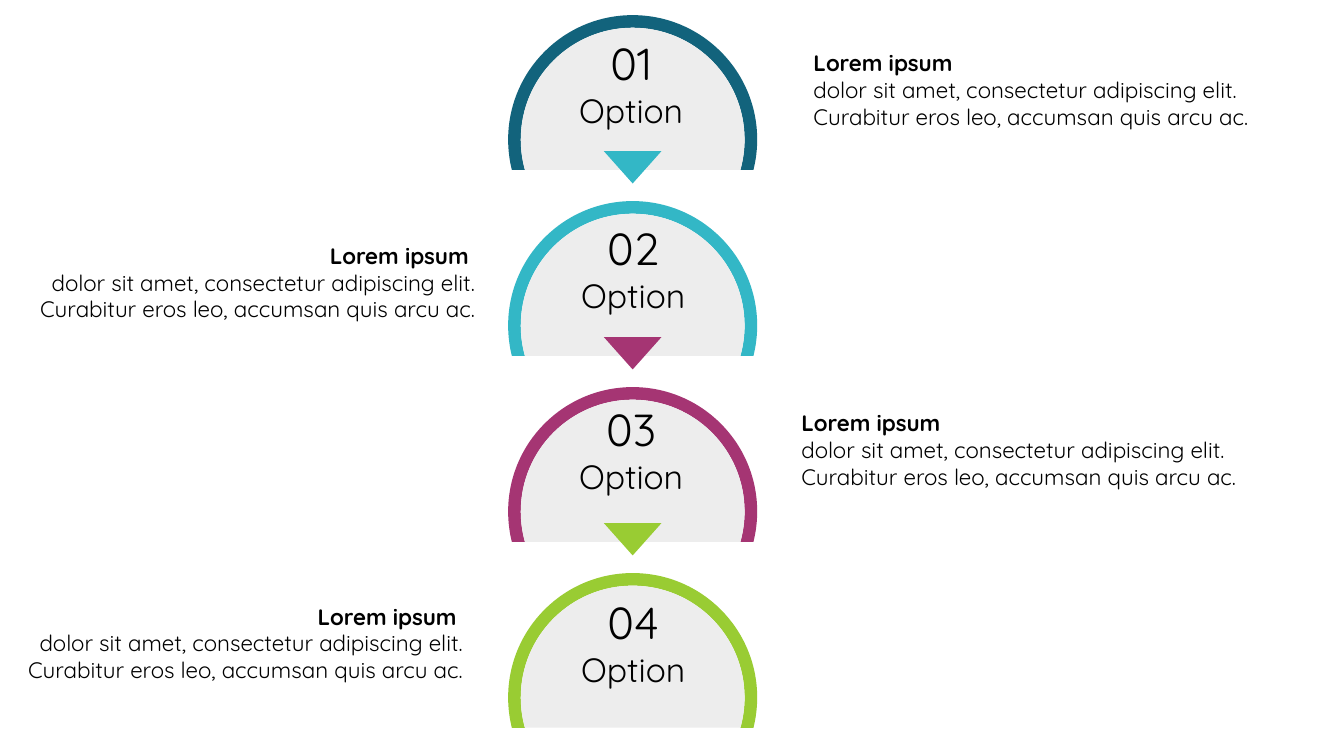
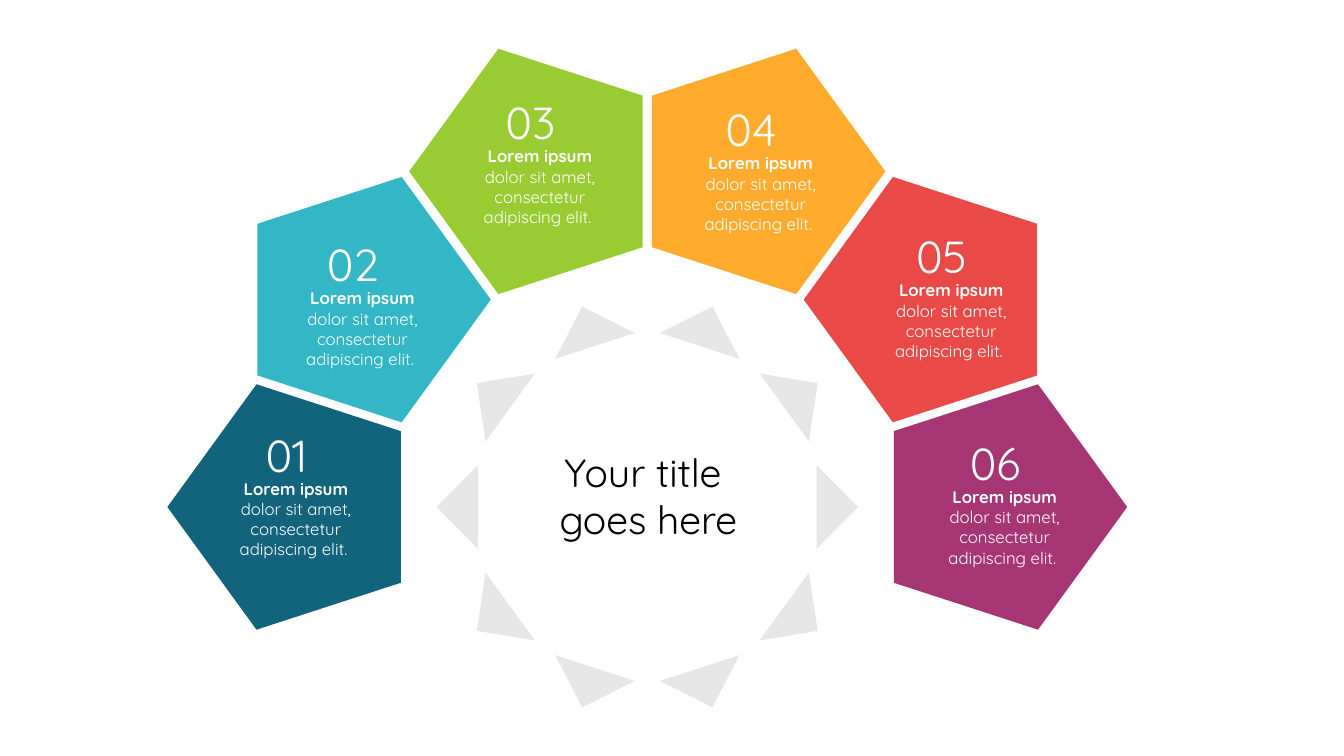
"""Build two infographic slides: a chain of four options and a fan of six pentagons."""
from math import asin, cos, pi, radians, sin, tan

from pptx import Presentation
from pptx.dml.color import RGBColor
from pptx.enum.text import MSO_ANCHOR, MSO_AUTO_SIZE, PP_ALIGN
from pptx.oxml.ns import qn
from pptx.util import Inches, Pt

TEAL = RGBColor(0x12, 0x63, 0x7C)
TURQUOISE = RGBColor(0x33, 0xB7, 0xC6)
GREEN = RGBColor(0x99, 0xCC, 0x33)
ORANGE = RGBColor(0xFF, 0xAB, 0x2E)
RED = RGBColor(0xEA, 0x4A, 0x47)
PLUM = RGBColor(0xA5, 0x35, 0x73)
DOME_GREY = RGBColor(0xED, 0xED, 0xED)
RAY_GREY = RGBColor(0xE7, 0xE6, 0xE6)
BLACK = RGBColor(0, 0, 0)
WHITE = RGBColor(0xFF, 0xFF, 0xFF)
FONT = "Quicksand"
HEADING = "Lorem ipsum "


def draw_outline(slide, points, color, curve_starts=()):
    corners = [(Inches(x), Inches(y)) for x, y in points]
    builder = slide.shapes.build_freeform(*corners[0], scale=1.0)
    builder.add_line_segments(corners[1:], close=True)
    outline = builder.convert_to_shape()
    outline.shadow.inherit = False
    outline.fill.solid()
    outline.fill.fore_color.rgb = color
    outline.line.fill.background()
    segments = list(outline.element.iter(qn("a:lnTo")))
    for start in curve_starts:
        curve = segments[start].makeelement(qn("a:cubicBezTo"))
        segments[start].addprevious(curve)
        for segment in segments[start:start + 3]:
            curve.append(segment[0])
            segment.getparent().remove(segment)


def write(box, paragraphs, align, color):
    frame = box.text_frame
    frame.word_wrap = True
    frame.auto_size = MSO_AUTO_SIZE.SHAPE_TO_FIT_TEXT
    frame.vertical_anchor = MSO_ANCHOR.TOP
    for index, pieces in enumerate(paragraphs):
        paragraph = frame.add_paragraph() if index else frame.paragraphs[0]
        paragraph.alignment = align
        for text, size, bold in pieces:
            run = paragraph.add_run()
            run.text = text
            run.font.name = FONT
            run.font.size = Pt(size)
            run.font.bold = bold
            run.font.color.rgb = color


deck = Presentation()
deck.slide_width = Inches(13.33)
deck.slide_height = Inches(7.5)
title_only, blank = deck.slide_layouts[5], deck.slide_layouts[6]

options_slide = deck.slides.add_slide(blank)
AXIS_X, FIRST_TOP, STEP = 6.275, 0.15, 1.845
OUTER, INNER, CUT = 1.235, 1.11, 0.3
options = [
    (TEAL, (5.52, 0.31, 1.48, 1.04), (7.97, 0.44)),
    (TURQUOISE, (5.54, 2.14, 1.48, 1.58), (0.27, 2.35)),
    (PLUM, (5.52, 3.94, 1.48, 1.58), (7.85, 4.01)),
    (GREEN, (5.54, 5.85, 1.48, 1.58), (0.15, 5.93)),
]
detail = "dolor sit amet, consectetur adipiscing elit. Curabitur eros leo, accumsan quis arcu ac."

for index, (color, _, _) in enumerate(options):
    center_y = FIRST_TOP + index * STEP + OUTER
    arcs = []
    for radius in (OUTER, INNER):
        dip = asin(CUT / radius)
        stops = [-dip, 0, pi / 2, pi, pi + dip]
        unit_points = [(cos(dip), -sin(dip))]
        for a, b in zip(stops, stops[1:]):
            pull = 4 / 3 * tan((b - a) / 4)
            unit_points += [(cos(a) - pull * sin(a), sin(a) + pull * cos(a)),
                            (cos(b) + pull * sin(b), sin(b) - pull * cos(b)),
                            (cos(b), sin(b))]
        arcs.append([(AXIS_X + radius * x, center_y - radius * y) for x, y in unit_points])
    outer_arc, inner_arc = arcs
    draw_outline(options_slide, outer_arc + inner_arc[::-1], color,
                 [*range(0, 12, 3), *range(13, 25, 3)])
    draw_outline(options_slide, inner_arc, DOME_GREY, range(0, 12, 3))

for index, (color, _, _) in enumerate(options[1:]):
    arrow_top = 1.5 + index * STEP
    arrow = [(5.99, arrow_top), (AXIS_X, arrow_top + 0.32), (6.56, arrow_top)]
    draw_outline(options_slide, arrow, color)

for index, (_, label_at, detail_at) in enumerate(options):
    label = options_slide.shapes.add_textbox(*map(Inches, label_at))
    write(label, [[(f"{index + 1:02}", 32, False)], [("Option", 24, False)]],
          PP_ALIGN.CENTER, BLACK)
    side = PP_ALIGN.RIGHT if index % 2 else PP_ALIGN.LEFT
    description = options_slide.shapes.add_textbox(*map(Inches, (*detail_at, 4.54, 1.18)))
    write(description, [[(HEADING, 16, True)], [(detail, 16, False)]], side, BLACK)

fan_slide = deck.slides.add_slide(title_only)
HUB_X, HUB_Y, PENTAGON_RADIUS = 6.42, 5.03, 1.28
RAY_TIP, RAY_BASE, RAY_HALF = 2.09, 1.68, 0.415
pentagons = [
    (TEAL, 3.48, 2.10, 4.19),
    (TURQUOISE, 3.50, 2.76, 2.30),
    (GREEN, 3.50, 4.52, 0.89),
    (ORANGE, 3.50, 6.71, 0.96),
    (RED, 3.50, 8.60, 2.22),
    (PLUM, 3.48, 9.13, 4.27),
]

for index, (color, reach, left, top) in enumerate(pentagons):
    angle = radians(180 - 36 * index)
    center_x = HUB_X + reach * cos(angle)
    center_y = HUB_Y - reach * sin(angle)
    turns = [angle + 2 * pi * corner / 5 for corner in range(5)]
    draw_outline(fan_slide, [(center_x + PENTAGON_RADIUS * cos(t),
                              center_y - PENTAGON_RADIUS * sin(t)) for t in turns], color)
    caption = fan_slide.shapes.add_textbox(*map(Inches, (left + 0.08, top + 0.51, 1.51, 0.91)))
    write(caption, [[(HEADING, 12, True),
                     ("dolor sit amet, consectetur adipiscing elit. ", 12, False)]],
          PP_ALIGN.CENTER, WHITE)
    number = fan_slide.shapes.add_textbox(*map(Inches, (left, top, 1.48, 0.64)))
    write(number, [[(f"{index + 1:02}", 32, False)]], PP_ALIGN.CENTER, WHITE)

for index in range(10):
    angle = radians(36 * index)
    ray = [(RAY_TIP, 0), (RAY_BASE, RAY_HALF), (RAY_BASE, -RAY_HALF)]
    draw_outline(fan_slide, [(HUB_X + out * cos(angle) - across * sin(angle),
                              HUB_Y - out * sin(angle) - across * cos(angle))
                             for out, across in ray], RAY_GREY)

title = fan_slide.shapes.title
title.left, title.top, title.width, title.height = map(Inches, (5.23, 4.4, 2.4, 1.04))
write(title, [[("Your title ", 28, False)], [("goes here", 28, False)]], PP_ALIGN.CENTER, BLACK)

deck.save("out.pptx")
